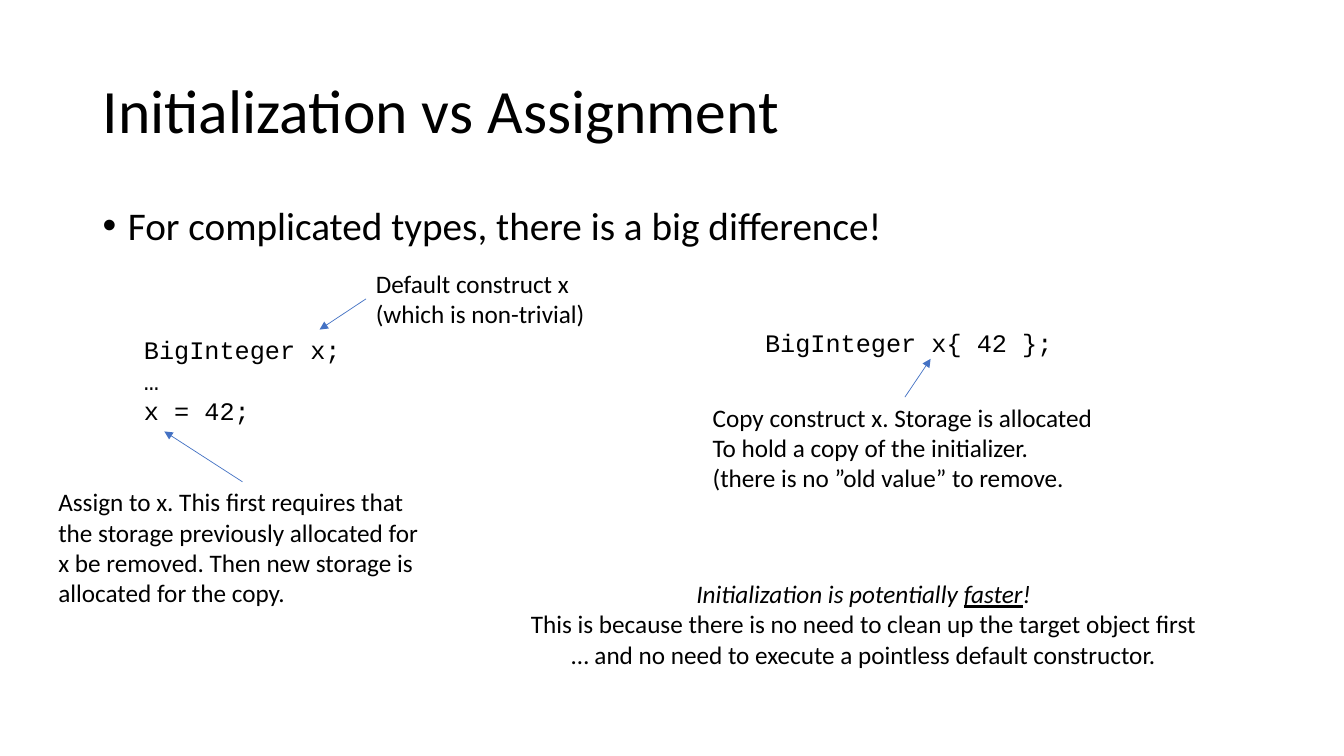
from lxml.etree import SubElement
from pptx import Presentation
from pptx.dml.color import RGBColor
from pptx.enum.shapes import MSO_CONNECTOR as Connector
from pptx.enum.text import MSO_ANCHOR as Anchor, MSO_AUTO_SIZE as AutoSize, PP_ALIGN as Align
from pptx.oxml.ns import qn
from pptx.util import Inches, Pt

BLACK = RGBColor(0x00, 0x00, 0x00)
BLUE = RGBColor(0x44, 0x72, 0xC4)
BODY_FONT = "Calibri"
CODE_FONT = "Courier New"
TOP, LEFT = 0, 1  # connection sites of a rectangle


def add_span(para, text, font=BODY_FONT, size=18, italic=False, underline=False):
    span = para.add_run()
    span.text = text
    span.font.name = font
    span.font.size = Pt(size)
    span.font.italic = italic
    span.font.underline = underline
    span.font.color.rgb = BLACK


def add_box(page, left, top, width, height, wrap=False):
    box = page.shapes.add_textbox(Inches(left), Inches(top), Inches(width), Inches(height))
    box.text_frame.word_wrap = wrap
    box.text_frame.auto_size = AutoSize.NONE if wrap else AutoSize.SHAPE_TO_FIT_TEXT
    return box


def add_lines(box, lines, align=Align.LEFT, **style):
    """Write one paragraph per line; a line is a list of (text, extra format) pairs or a string."""
    frame = box.text_frame
    for index, line in enumerate(lines):
        para = frame.add_paragraph() if index else frame.paragraphs[0]
        para.alignment = align
        spans = [(line, {})] if isinstance(line, str) else line
        for text, extra in spans:
            add_span(para, text, **style, **extra)


def add_title(page, text):
    box = add_box(page, 0.92, 0.4, 11.5, 1.45, wrap=True)
    box.text_frame.vertical_anchor = Anchor.MIDDLE
    add_lines(box, [text], size=44)
    box.text_frame.paragraphs[0].line_spacing = 0.9


def add_bullet(page, text):
    box = add_box(page, 0.92, 2, 11.5, 0.61, wrap=True)
    add_lines(box, [text], size=28)
    para = box.text_frame.paragraphs[0]
    para.line_spacing = 0.9
    para.space_before = Pt(10)
    properties = para._p.get_or_add_pPr()
    properties.set("marL", str(Inches(0.25)))
    properties.set("indent", str(-Inches(0.25)))
    SubElement(properties, qn("a:buFont"), typeface="Arial")
    SubElement(properties, qn("a:buChar"), char="•")


def add_arrow(page, note, site, start, end):
    """Point from the middle of a side of the note to a place in the code."""
    points = [Inches(value) for value in start + end]
    arrow = page.shapes.add_connector(Connector.STRAIGHT, *points)
    arrow.begin_connect(note, site)
    arrow.line.color.rgb = BLUE
    arrow.line.width = Pt(0.5)
    SubElement(arrow.line._get_or_add_ln(), qn("a:tailEnd"), type="triangle")
    SubElement(arrow._element.spPr, qn("a:effectLst"))


def main():
    deck = Presentation()
    deck.slide_width, deck.slide_height = Inches(13.33), Inches(7.5)
    page = deck.slides.add_slide(deck.slide_layouts[6])

    add_title(page, "Initialization vs Assignment")
    add_bullet(page, "For complicated types, there is a big difference!")

    assignment_code = add_box(page, 1.33, 3.27, 2.16, 1.01)
    add_lines(assignment_code, ["BigInteger x;", "…", "x = 42;"], font=CODE_FONT)
    initialization_code = add_box(page, 7.49, 3.2, 3.07, 0.4)
    add_lines(initialization_code, ["BigInteger x{ 42 };"], font=CODE_FONT)

    default_note = add_box(page, 3.63, 2.61, 2.37, 0.71)
    add_lines(default_note, ["Default construct x", "(which is non-trivial)"])
    copy_note = add_box(page, 6.97, 3.94, 4.01, 1.01)
    add_lines(copy_note, [
        "Copy construct x. Storage is allocated",
        "To hold a copy of the initializer.",
        "(there is no ”old value” to remove.",
    ])
    assign_note = add_box(page, 0.48, 4.78, 3.85, 1.31)
    add_lines(assign_note, [
        "Assign to x. This first requires that",
        "the storage previously allocated for",
        "x be removed. Then new storage is",
        "allocated for the copy.",
    ])

    add_arrow(page, default_note, LEFT, (3.63, 2.96), (3.17, 3.27))
    add_arrow(page, copy_note, TOP, (8.97, 3.94), (9.23, 3.56))
    add_arrow(page, assign_note, TOP, (2.41, 4.78), (1.63, 4.28))

    conclusion = add_box(page, 5.09, 5.69, 6.95, 1.01)
    add_lines(conclusion, [
        [
            ("Initialization is potentially ", {"italic": True}),
            ("faster", {"italic": True, "underline": True}),
            ("!", {"italic": True}),
        ],
        "This is because there is no need to clean up the target object first",
        "… and no need to execute a pointless default constructor.",
    ], align=Align.CENTER)

    deck.save("out.pptx")


if __name__ == "__main__":
    main()
